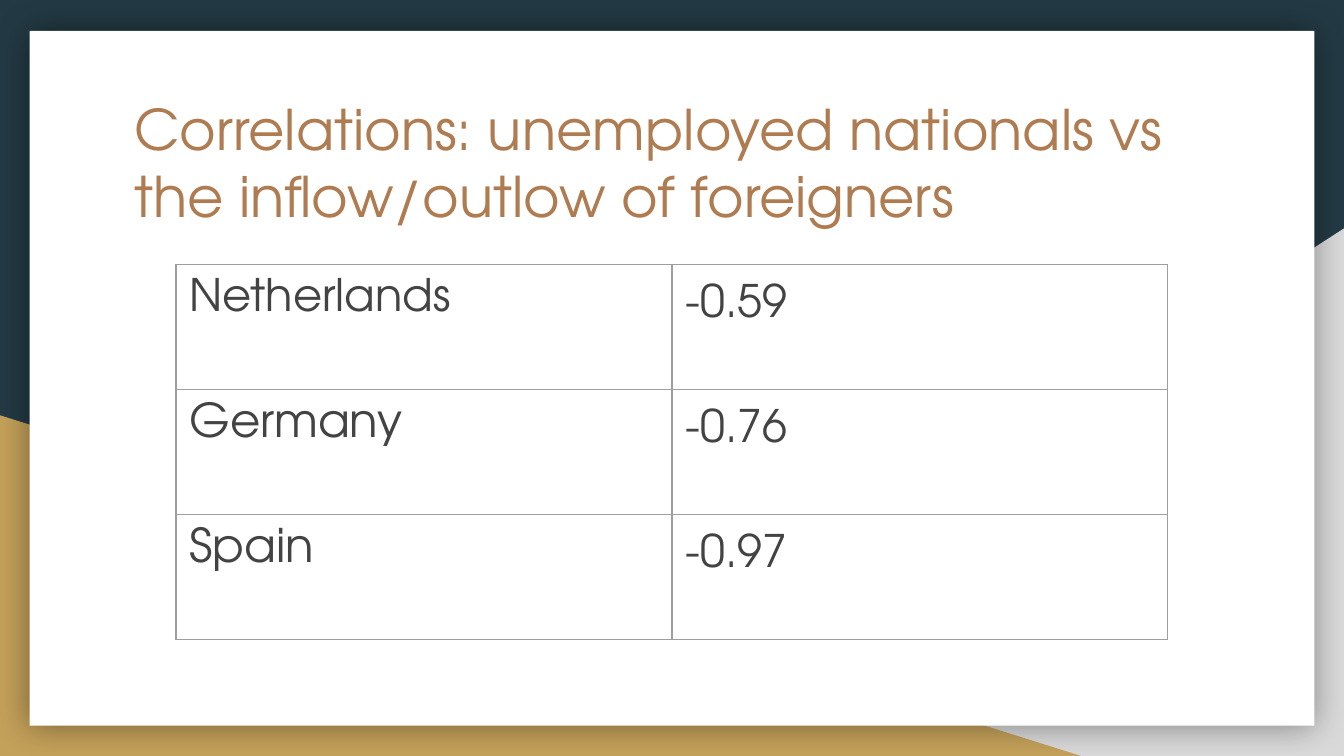
"""Build a slide with a table of unemployment and migration correlations."""
from typing import NamedTuple

from lxml import etree
from pptx import Presentation
from pptx.dml.color import RGBColor
from pptx.enum.shapes import MSO_SHAPE
from pptx.enum.text import MSO_ANCHOR, MSO_AUTO_SIZE, PP_ALIGN
from pptx.oxml import parse_xml
from pptx.oxml.ns import qn
from pptx.util import Inches, Pt

TRIANGLE = MSO_SHAPE.RIGHT_TRIANGLE
RECTANGLE = MSO_SHAPE.RECTANGLE
TOP = MSO_ANCHOR.TOP
LEFT = PP_ALIGN.LEFT
NO_FIT = MSO_AUTO_SIZE.NONE
FONT = "TeX Gyre Adventor"
DRAWING = "http://schemas.openxmlformats.org/drawingml/2006/main"
COLORS = {
    "background": "233A44",
    "grey": "D9D9D9",
    "gold": "C4A15A",
    "white": "FFFFFF",
    "title": "AF7B51",
    "text": "434343",
    "border": "9E9E9E",
}


class Panel(NamedTuple):
    kind: int
    left: float
    top: float
    width: float
    height: float
    color: str
    flipped: bool = False
    shadowed: bool = False


class Country(NamedTuple):
    name: str
    correlation: str
    name_size: int


PANELS = [
    Panel(TRIANGLE, 3.92, 1.7, 6.08, 3.93, "grey", flipped=True),
    Panel(TRIANGLE, 0, 3.09, 8.06, 2.54, "gold"),
    Panel(RECTANGLE, 0.22, 0.23, 9.56, 5.17, "white", shadowed=True),
]
COUNTRIES = [
    Country("Netherlands", "-0.59", 24),
    Country("Germany", "-0.76", 25),
    Country("Spain", "-0.97", 25),
]


def color(name: str) -> RGBColor:
    return RGBColor.from_string(COLORS[name])


def draw_panel(page, panel: Panel) -> None:
    box = page.shapes.add_shape(
        panel.kind, Inches(panel.left), Inches(panel.top),
        Inches(panel.width), Inches(panel.height))
    box.shadow.inherit = False
    box.fill.solid()
    box.fill.fore_color.rgb = color(panel.color)
    box.line.fill.background()
    properties = box._element.spPr
    if panel.flipped:
        properties.find(qn("a:xfrm")).set("flipH", "1")
    if panel.shadowed:
        effects = properties.find(qn("a:effectLst"))
        effects.append(parse_xml(
            f'<a:outerShdw xmlns:a="{DRAWING}" blurRad="{Pt(18)}" dist="0" '
            'dir="0" algn="ctr" rotWithShape="0"><a:srgbClr val="000000">'
            '<a:alpha val="40000"/></a:srgbClr></a:outerShdw>'))


def write_text(frame, text: str, size: int, color_name: str,
               spacing: float = 1.0) -> None:
    para = frame.paragraphs[0]
    para.alignment = LEFT
    para.line_spacing = spacing
    span = para.add_run()
    span.text = text
    span.font.name = FONT
    span.font.size = Pt(size)
    span.font.color.rgb = color(color_name)


def set_margins(box) -> None:
    for side in ("left", "right", "top", "bottom"):
        setattr(box, f"margin_{side}", Inches(0.1))


def draw_title(page, text: str) -> None:
    title = page.shapes.title
    title.left, title.top = Inches(0.9), Inches(0.6)
    title.width, title.height = Inches(8.21), Inches(1.37)
    frame = title.text_frame
    frame.word_wrap = True
    frame.auto_size = NO_FIT
    frame.vertical_anchor = TOP
    set_margins(frame)
    write_text(frame, text, 30, "title")


def add_borders(cell) -> None:
    properties = cell._tc.get_or_add_tcPr()
    for side in ("lnL", "lnR", "lnT", "lnB"):
        line = etree.SubElement(properties, qn(f"a:{side}"), w=str(Pt(0.75)))
        fill = etree.SubElement(line, qn("a:solidFill"))
        etree.SubElement(fill, qn("a:srgbClr"), val=COLORS["border"])


def format_cell(cell, text: str, size: int, spacing: float) -> None:
    set_margins(cell)
    cell.vertical_anchor = TOP
    add_borders(cell)
    cell.fill.background()
    write_text(cell.text_frame, text, size, "text", spacing)


def draw_table(page, countries: list[Country]) -> None:
    row_height = Inches(0.93)
    table = page.shapes.add_table(
        len(countries), 2, Inches(1.31), Inches(1.97),
        Inches(7.38), row_height * len(countries)).table
    table.first_row = False
    table.horz_banding = False
    for index, country in enumerate(countries):
        table.rows[index].height = row_height
        format_cell(table.cell(index, 0), country.name, country.name_size, 1.0)
        format_cell(table.cell(index, 1), country.correlation, 24, 1.15)


def main() -> None:
    deck = Presentation()
    deck.slide_width = Inches(10)
    deck.slide_height = deck.slide_width * 9 // 16
    page = deck.slides.add_slide(deck.slide_layouts[5])
    page.background.fill.solid()
    page.background.fill.fore_color.rgb = color("background")
    for panel in PANELS:
        draw_panel(page, panel)
    title = page.shapes.title._element
    title.getparent().append(title)
    draw_title(page, "Correlations: unemployed nationals vs "
                     "the inflow/outlow of foreigners")
    draw_table(page, COUNTRIES)
    deck.save("out.pptx")


main()
